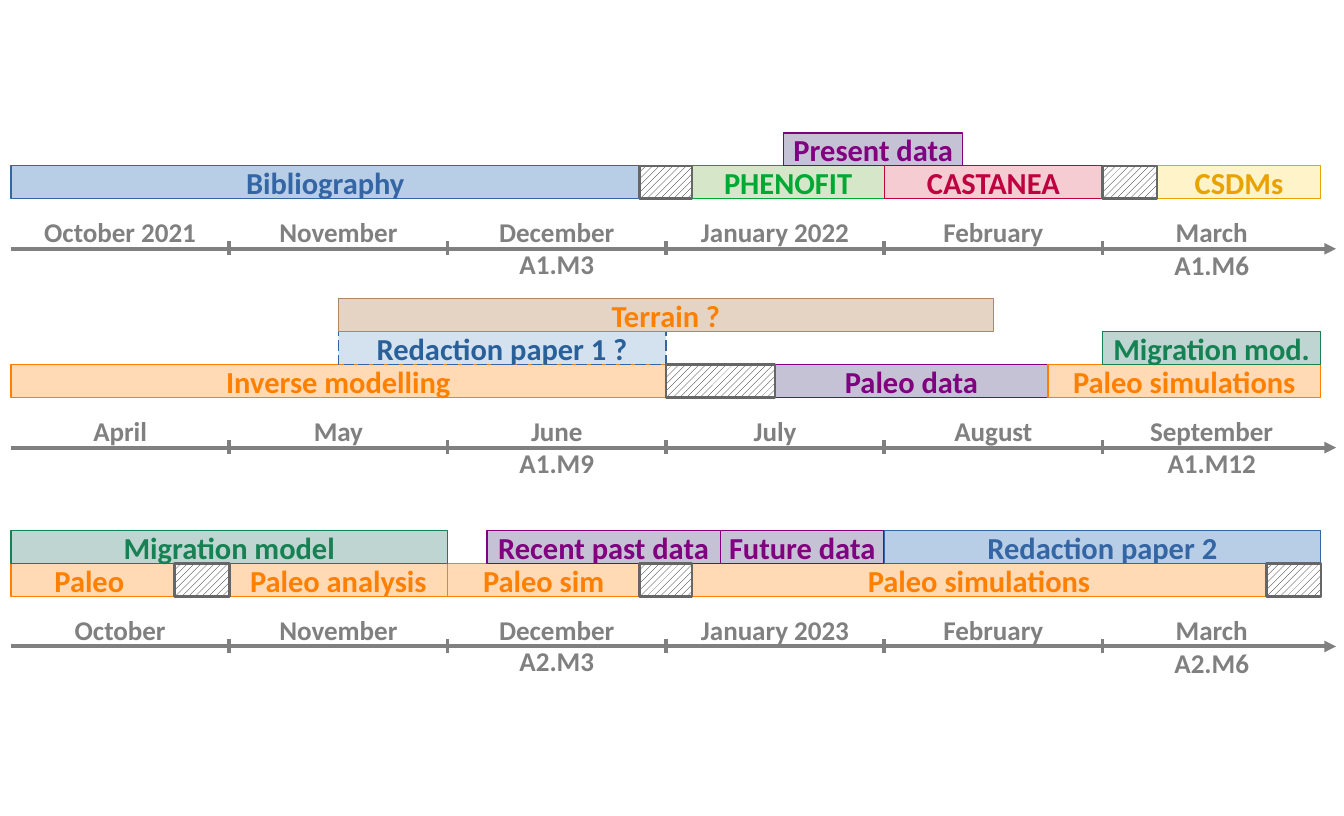
import pptx
import pptx.dml.color
import pptx.enum.dml
import pptx.enum.shapes
import pptx.enum.text
import pptx.oxml
import pptx.oxml.ns
import pptx.util
from pptx.dml.color import RGBColor

GREY = RGBColor(0x80, 0x80, 0x80)
DARK_GREY = RGBColor(0x66, 0x66, 0x66)
BLACK = RGBColor(0x00, 0x00, 0x00)
WHITE = RGBColor(0xFF, 0xFF, 0xFF)
BLUE = RGBColor(0x34, 0x65, 0xA4)
DEEP_BLUE = RGBColor(0x2A, 0x60, 0x99)
LIGHT_BLUE = RGBColor(0x72, 0x9F, 0xCF)
GREEN = RGBColor(0x00, 0xA9, 0x33)
LIGHT_GREEN = RGBColor(0xAF, 0xD0, 0x95)
RED = RGBColor(0xBF, 0x00, 0x41)
PINK = RGBColor(0xEC, 0x9B, 0xA4)
GOLD = RGBColor(0xE8, 0xA2, 0x02)
YELLOW = RGBColor(0xFF, 0xE9, 0x94)
ORANGE = RGBColor(0xFF, 0x80, 0x00)
LIGHT_ORANGE = RGBColor(0xFF, 0xB6, 0x6C)
PURPLE = RGBColor(0x80, 0x00, 0x80)
LILAC = RGBColor(0x8E, 0x86, 0xAE)
TEAL = RGBColor(0x16, 0x82, 0x53)
LIGHT_TEAL = RGBColor(0x81, 0xAC, 0xA6)
BROWN = RGBColor(0xAC, 0x87, 0x61)
TAN = RGBColor(0xCD, 0xAB, 0x89)

# Kind of work: fill, outline, text
KINDS = {
    "writing": (LIGHT_BLUE, BLUE, BLUE),
    "draft": (LIGHT_BLUE, BLUE, DEEP_BLUE),
    "phenofit": (LIGHT_GREEN, GREEN, GREEN),
    "castanea": (PINK, RED, RED),
    "csdm": (YELLOW, GOLD, GOLD),
    "paleo": (LIGHT_ORANGE, ORANGE, ORANGE),
    "data": (LILAC, PURPLE, PURPLE),
    "migration": (LIGHT_TEAL, TEAL, TEAL),
    "terrain": (TAN, BROWN, ORANGE),
}

# Bars are (text, kind, level, first month, last month); breaks are (first, last)
HALF_YEARS = [
    {
        "months": ["October 2021", "November", "December", "January 2022", "February", "March"],
        "milestones": [("A1.M3", 2, 0), ("A1.M6", 5, 0.01)],
        "bars": [
            ("Bibliography", "writing", 0, 0, 2.88),
            ("PHENOFIT", "phenofit", 0, 3.12, 4),
            ("CASTANEA", "castanea", 0, 4, 5),
            ("CSDMs", "csdm", 0, 5.25, 6),
            ("Present data", "data", 1, 3.54, 4.36),
        ],
        "breaks": [(2.88, 3.12), (5, 5.25)],
    },
    {
        "months": ["April", "May", "June", "July", "August", "September"],
        "milestones": [("A1.M9", 2, 0), ("A1.M12", 5, 0)],
        "bars": [
            ("Inverse modelling", "paleo", 0, 0, 3),
            ("Paleo data", "data", 0, 3.5, 4.75),
            ("Paleo simulations", "paleo", 0, 4.75, 6),
            ("Redaction paper 1 ?", "draft", 1, 1.5, 3),
            ("Migration mod.", "migration", 1, 5, 6),
            ("Terrain ?", "terrain", 2, 1.5, 4.5),
        ],
        "breaks": [(3, 3.5)],
    },
    {
        "months": ["October", "November", "December", "January 2023", "February", "March"],
        "milestones": [("A2.M3", 2, 0), ("A2.M6", 5, 0.01)],
        "bars": [
            ("Paleo ", "paleo", 0, 0, 0.75),
            ("Paleo analysis", "paleo", 0, 1, 2),
            ("Paleo sim", "paleo", 0, 2, 2.88),
            ("Paleo simulations", "paleo", 0, 3.12, 5.75),
            ("Migration model", "migration", 1, 0, 2),
            ("Recent past data", "data", 1, 2.18, 3.25),
            ("Future data", "data", 1, 3.25, 4),
            ("Redaction paper 2", "writing", 1, 4, 6),
        ],
        "breaks": [(0.75, 1), (2.88, 3.12), (5.75, 6)],
    },
]


class Schedule:
    """Grid of months across and half-years down, with its style."""

    font = "Calibri"
    left, month = 0.09, 1.79
    first_axis, half_year = 2.04, 1.63
    bar_rise, bar_step, bar_height = 0.68, 0.27, 0.27

    def __init__(self, page):
        self.page = page

    def x(self, months):
        return pptx.util.Inches(self.left + months * self.month)

    def y(self, row, shift=0):
        return pptx.util.Inches(self.first_axis + row * self.half_year + shift)

    def set_text(self, shape, text, size, color):
        frame = shape.text_frame
        frame.text = text
        frame.vertical_anchor = pptx.enum.text.MSO_ANCHOR.MIDDLE
        para = frame.paragraphs[0]
        para.alignment = pptx.enum.text.PP_ALIGN.CENTER
        font = para.runs[0].font
        font.name, font.size, font.bold = self.font, pptx.util.Pt(size), True
        font.color.rgb = color

    def line(self, x1, y1, x2, y2, arrow=False):
        line = self.page.shapes.add_connector(
            pptx.enum.shapes.MSO_CONNECTOR.STRAIGHT, x1, y1, x2, y2)
        line.line.color.rgb = GREY
        line.line.width = pptx.util.Pt(2.3)
        if arrow:
            tail = pptx.oxml.parse_xml(
                f'<a:tailEnd {pptx.oxml.ns.nsdecls("a")} type="triangle"/>')
            line._element.spPr.find(pptx.oxml.ns.qn("a:ln")).append(tail)
        line._element.spPr.append(
            pptx.oxml.parse_xml(f'<a:effectLst {pptx.oxml.ns.nsdecls("a")}/>'))

    def axis(self, row, months):
        self.line(self.x(0), self.y(row), self.x(months + 0.07), self.y(row), arrow=True)
        for tick in range(1, months):
            self.line(self.x(tick), self.y(row, -0.06), self.x(tick), self.y(row, 0.05))

    def label(self, text, row, month, shift):
        box = self.page.shapes.add_textbox(
            self.x(month), self.y(row, shift),
            pptx.util.Inches(self.month), pptx.util.Inches(0.4))
        box.text_frame.word_wrap = True
        box.text_frame.auto_size = pptx.enum.text.MSO_AUTO_SIZE.SHAPE_TO_FIT_TEXT
        self.set_text(box, text, 16, GREY)

    def block(self, row, level, start, end, outline, width):
        block = self.page.shapes.add_shape(
            pptx.enum.shapes.MSO_SHAPE.RECTANGLE, self.x(start),
            self.y(row, -self.bar_rise - level * self.bar_step),
            self.x(end) - self.x(start), pptx.util.Inches(self.bar_height))
        block.shadow.inherit = False
        block.line.color.rgb = outline
        block.line.width = pptx.util.Pt(width)
        return block

    def bar(self, row, text, kind, level, start, end):
        fill, outline, color = KINDS[kind]
        draft = kind == "draft"
        bar = self.block(row, level, start, end, outline, 0.79 if draft else 0)
        bar.fill.solid()
        bar.fill.fore_color.rgb = fill
        opacity = 30000 if draft else 50000
        solid = bar._element.spPr.find(pptx.oxml.ns.qn("a:solidFill"))
        solid[0].append(pptx.oxml.parse_xml(
            f'<a:alpha {pptx.oxml.ns.nsdecls("a")} val="{opacity}"/>'))
        if draft:
            bar.line.dash_style = pptx.enum.dml.MSO_LINE.LONG_DASH
        bar.text_frame.word_wrap = False
        self.set_text(bar, text, 18, color)

    def pause(self, row, start, end):
        pause = self.block(row, 0, start, end, DARK_GREY, 1.5)
        pause.fill.patterned()
        pause.fill.pattern = pptx.enum.dml.MSO_PATTERN.WIDE_UPWARD_DIAGONAL
        pause.fill.fore_color.rgb = BLACK
        pause.fill.back_color.rgb = WHITE


def main():
    deck = pptx.Presentation()
    deck.slide_width = pptx.util.Inches(11.02)
    deck.slide_height = pptx.util.Inches(6.69)
    schedule = Schedule(deck.slides.add_slide(deck.slide_layouts[6]))

    for row, half in enumerate(HALF_YEARS):
        # Time axis with its months and milestones
        schedule.axis(row, len(half["months"]))
        for month, name in enumerate(half["months"]):
            schedule.label(name, row, month, -0.34)
        for name, month, drop in half["milestones"]:
            schedule.label(name, row, month, drop - 0.08)
        # Work bars, then hatched breaks on top
        for bar in half["bars"]:
            schedule.bar(row, *bar)
        for start, end in half["breaks"]:
            schedule.pause(row, start, end)

    deck.save("out.pptx")


if __name__ == "__main__":
    main()
